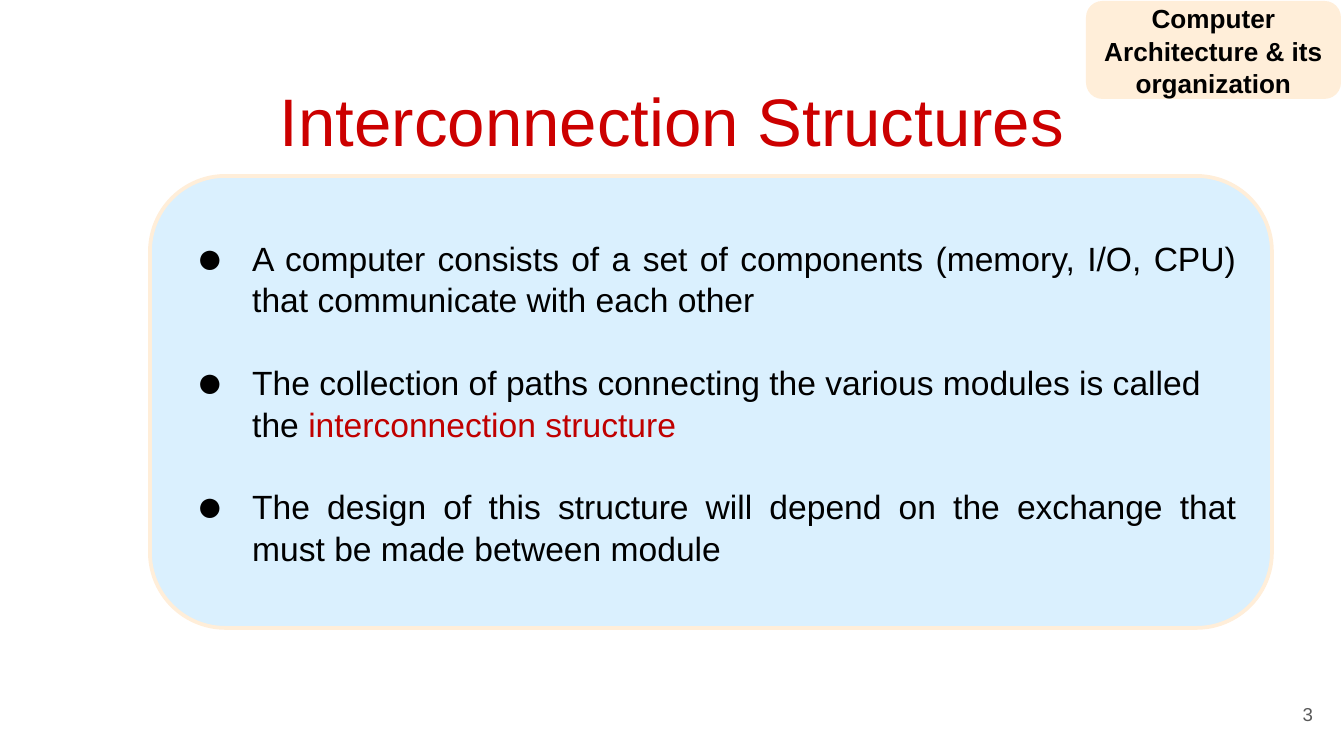
from lxml.etree import SubElement
from pptx import Presentation
from pptx.dml.color import RGBColor
from pptx.enum.shapes import MSO_SHAPE as Shape
from pptx.enum.text import MSO_ANCHOR as Anchor, PP_ALIGN as Align
from pptx.oxml.ns import qn
from pptx.util import Emu, Pt

PX = 914400 / 134.4
FONT = "Arial"
LINE_SPACING = 1.04
COLORS = {
    "title": "CC0000",
    "accent": "C00000",
    "text": "000000",
    "number": "595959",
    "panel": "DAF0FE",
    "cream": "FFEED9",
}
# Each point: alignment, then its spans of text and colour
POINTS = [
    (Align.JUSTIFY, [("A computer consists of a set of components (memory, I/O, CPU) "
                      "that communicate with each other", "text")]),
    (Align.LEFT, [("The collection of paths connecting the various modules is called the ", "text"),
                  ("interconnection structure", "accent")]),
    (Align.JUSTIFY, [("The design of this structure will depend on the exchange that "
                      "must be made between module", "text")]),
]


def px(length):
    return Emu(round(length * PX))


def color(name):
    return RGBColor.from_string(COLORS[name])


def style(para, size, name, align, bold=False):
    para.alignment = align
    para.font.name = FONT
    para.font.size = Pt(size)
    para.font.bold = bold
    para.font.color.rgb = color(name)


def add_label(page, box, text, size, name, align, anchor):
    label = page.shapes.add_textbox(*map(px, box))
    frame = label.text_frame
    frame.word_wrap = True
    frame.vertical_anchor = anchor
    frame.margin_left = frame.margin_right = px(13)
    frame.margin_top = frame.margin_bottom = px(13)
    frame.text = text
    style(frame.paragraphs[0], size, name, align)


def add_panel(page, box, fill, line=None):
    panel = page.shapes.add_shape(Shape.ROUNDED_RECTANGLE, *map(px, box))
    panel.shadow.inherit = False
    panel.adjustments[0] = 0.167
    panel.fill.solid()
    panel.fill.fore_color.rgb = color(fill)
    if line:
        panel.line.color.rgb = color(line)
        panel.line.width = Pt(2)
    else:
        panel.line.fill.background()
    frame = panel.text_frame
    frame.word_wrap = True
    frame.vertical_anchor = Anchor.MIDDLE
    return frame


def add_bullet(para):
    props = para._p.get_or_add_pPr()
    props.set("marL", str(px(67)))
    props.set("indent", str(-px(56)))
    tint = SubElement(props, qn("a:buClr"))
    SubElement(tint, qn("a:srgbClr"), val=COLORS["text"])
    SubElement(props, qn("a:buSzPct"), val="133000")
    SubElement(props, qn("a:buFont"), typeface=FONT)
    SubElement(props, qn("a:buChar"), char="●")


def add_points(page, box):
    frame = add_panel(page, box, "panel", "cream")
    for index, (align, spans) in enumerate(POINTS):
        para = frame.paragraphs[0] if index == 0 else frame.add_paragraph()
        para.line_spacing = LINE_SPACING
        para.space_before = Pt(21.6 if index else 0)
        add_bullet(para)
        style(para, 18, "text", align)
        for text, name in spans:
            span = para.add_run()
            span.text = text
            span.font.color.rgb = color(name)


def add_course_tag(page, box):
    frame = add_panel(page, box, "cream")
    frame.text = "Computer Architecture & its organization"
    para = frame.paragraphs[0]
    para.line_spacing = LINE_SPACING
    style(para, 14, "text", Align.CENTER, bold=True)


def main():
    deck = Presentation()
    deck.slide_width, deck.slide_height = px(1344), px(756)
    page = deck.slides.add_slide(deck.slide_layouts[6])

    # Title and page number
    add_label(page, (46, 66, 1252, 85), "Interconnection Structures",
              36, "title", Align.CENTER, Anchor.TOP)
    add_label(page, (1246, 685, 80, 58), "3", 10, "number", Align.RIGHT, Anchor.MIDDLE)

    # Main points and course tag
    add_points(page, (150, 176, 1122, 452))
    add_course_tag(page, (1086, 1, 255, 98))

    deck.save("out.pptx")


if __name__ == "__main__":
    main()
